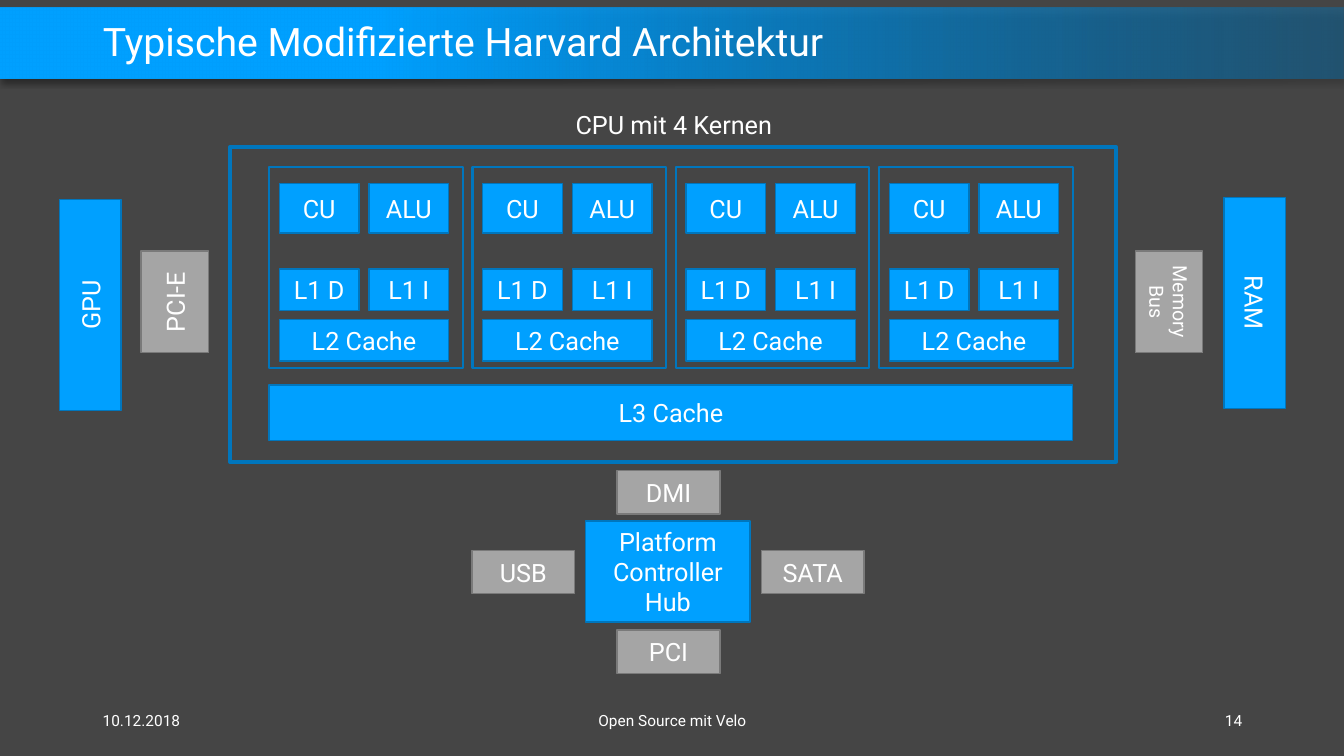
from dataclasses import dataclass

from lxml.etree import SubElement
from pptx import Presentation
from pptx.dml.color import RGBColor as RGB
from pptx.enum.shapes import MSO_SHAPE as Shape
from pptx.enum.text import MSO_ANCHOR as Anchor, MSO_AUTO_SIZE as AutoSize, PP_ALIGN as Align
from pptx.oxml.ns import qn
from pptx.util import Inches, Pt


@dataclass(frozen=True)
class Theme:
    font: str = "Roboto"
    background: str = "454545"
    text: str = "FFFFFF"
    blue: str = "00A0FF"
    blue_line: str = "0076BD"
    gray: str = "A5A5A5"
    gray_line: str = "7A7A7A"
    bar_end: str = "0078BF"
    shadow: str = "000000"
    title_size: int = 28
    label_size: int = 18
    small_size: int = 14
    footer_size: int = 11


THEME = Theme()
BLUE = (THEME.blue, THEME.blue_line)
GRAY = (THEME.gray, THEME.gray_line)
OUTLINE = (None, THEME.blue_line)

TITLE = "Typische Modifizierte Harvard Architektur"
CPU_LABEL = "CPU mit 4 Kernen"
# text, left, width, alignment
FOOTERS = [
    ("10.12.2018", 0.92, 3, Align.LEFT),
    ("Open Source mit Velo", 4.42, 4.5, Align.CENTER),
    ("14", 9.42, 3, Align.RIGHT),
]

CPU = (2.28, 1.46, 8.79, 3.12)
L3_CACHE = (2.67, 3.82, 7.97, 0.55)
CORE_COUNT = 4
CORE_TOP, CORE_WIDTH, CORE_HEIGHT = 1.66, 1.92, 1.99
# text, offset from the core's left edge, top, width, height
CORE_UNITS = [
    ("CU", 0.1, 1.82, 0.79, 0.49),
    ("ALU", 0.99, 1.82, 0.79, 0.49),
    ("L2 Cache", 0.1, 3.17, 1.68, 0.41),
    ("L1 D", 0.1, 2.67, 0.79, 0.41),
    ("L1 I", 0.99, 2.67, 0.79, 0.41),
]

# text, position, colours, text size, text direction
SIDE_PARTS = [
    ("Memory Bus", (11.26, 2.49, 0.67, 1.01), GRAY, THEME.small_size, "vert"),
    ("RAM", (12.14, 1.96, 0.61, 2.09), BLUE, THEME.label_size, "vert"),
    ("PCI-E", (1.4, 2.49, 0.67, 1.01), GRAY, THEME.label_size, "vert270"),
    ("GPU", (0.59, 1.98, 0.61, 2.09), BLUE, THEME.label_size, "vert270"),
]

HUB_LABEL, HUB = "Platform Controller Hub", (5.81, 5.17, 1.63, 1)
BUS_WIDTH, BUS_HEIGHT = 1.02, 0.43
# text, left, top
HUB_BUSES = [
    ("DMI", 6.12, 4.67),
    ("USB", 4.68, 5.46),
    ("SATA", 7.55, 5.46),
    ("PCI", 6.12, 6.25),
]


def inches(position):
    return [Inches(value) for value in position]


def write(frame, text, size, align):
    para = frame.paragraphs[0]
    para.alignment = align
    span = para.add_run()
    span.text = text
    span.font.name = THEME.font
    span.font.size = Pt(size)
    span.font.color.rgb = RGB.from_string(THEME.text)
    return para


def add_box(shapes, position, colours, text="", size=THEME.label_size, line=1, direction=None):
    box = shapes.add_shape(Shape.RECTANGLE, *inches(position))
    box.shadow.inherit = False
    fill, edge = colours
    if fill:
        box.fill.solid()
        box.fill.fore_color.rgb = RGB.from_string(fill)
    else:
        box.fill.background()
    box.line.color.rgb = RGB.from_string(edge)
    box.line.width = Pt(line)
    if text:
        frame = box.text_frame
        frame.word_wrap = True
        frame.vertical_anchor = Anchor.MIDDLE
        write(frame, text, size, Align.CENTER)
        if direction:
            frame._txBody.bodyPr.set("vert", direction)


def add_label(page, position, text, size, align, anchor, wrap=True):
    frame = page.shapes.add_textbox(*inches(position)).text_frame
    frame.word_wrap = wrap
    frame.vertical_anchor = anchor
    frame.auto_size = AutoSize.NONE if wrap else AutoSize.SHAPE_TO_FIT_TEXT
    write(frame, text, size, align)


def add_title_bar(page):
    """Add the fading bar with its soft shadow beneath the title."""
    bar = page.shapes.add_shape(Shape.RECTANGLE, *inches((0, 0.08, 13.33, 0.7)))
    bar.line.fill.background()
    bar.fill.gradient()
    bar.fill.gradient_angle = 180
    stops = bar.fill.gradient_stops
    for stop, colour, place in zip(stops, (THEME.bar_end, THEME.blue), (0, 0.72)):
        stop.color.rgb = RGB.from_string(colour)
        stop.position = place
    properties = bar._element.spPr
    faded = properties.find(".//" + qn("a:srgbClr"))
    SubElement(faded, qn("a:alpha"), val="40000")

    bar.shadow.inherit = False
    shadow = SubElement(
        properties.find(qn("a:effectLst")), qn("a:outerShdw"),
        blurRad=str(Pt(4)), dist=str(Pt(3)), dir="5400000", algn="t", rotWithShape="0")
    tint = SubElement(shadow, qn("a:srgbClr"), val=THEME.shadow)
    SubElement(tint, qn("a:alpha"), val="40000")
    page.shapes.title._element.addprevious(bar._element)


def add_title(page):
    title = page.shapes.title
    title.left, title.top, title.width, title.height = inches((0.92, 0.16, 11.5, 0.55))
    frame = title.text_frame
    frame.auto_size = AutoSize.NONE
    frame.vertical_anchor = Anchor.MIDDLE
    write(frame, TITLE, THEME.title_size, Align.LEFT).line_spacing = 0.9


def add_cores(page):
    """Spread the cores evenly over the width of the L3 cache."""
    first, _, span_width, _ = L3_CACHE
    pitch = (span_width - CORE_WIDTH) / (CORE_COUNT - 1)
    for index in range(CORE_COUNT):
        left = first + index * pitch
        core = page.shapes.add_group_shape().shapes
        add_box(core, (left, CORE_TOP, CORE_WIDTH, CORE_HEIGHT), OUTLINE, line=1.5)
        for text, offset, top, width, height in CORE_UNITS:
            add_box(core, (left + offset, top, width, height), BLUE, text)


def main():
    deck = Presentation()
    deck.slide_width, deck.slide_height = Inches(13.33), Inches(7.5)
    page = deck.slides.add_slide(deck.slide_layouts.get_by_name("Title Only"))
    page.background.fill.solid()
    page.background.fill.fore_color.rgb = RGB.from_string(THEME.background)

    add_title_bar(page)
    add_title(page)
    for text, left, width, align in FOOTERS:
        add_label(page, (left, 6.95, width, 0.4), text, THEME.footer_size, align, Anchor.MIDDLE)

    add_box(page.shapes, L3_CACHE, BLUE, "L3 Cache")
    add_cores(page)
    add_box(page.shapes, CPU, OUTLINE, line=3)
    add_label(page, (5.61, 1.04, 2.16, 0.4), CPU_LABEL, THEME.label_size,
              Align.LEFT, Anchor.TOP, wrap=False)

    for text, position, colours, size, direction in SIDE_PARTS:
        add_box(page.shapes, position, colours, text, size, direction=direction)
    add_box(page.shapes, HUB, BLUE, HUB_LABEL)
    for text, left, top in HUB_BUSES:
        add_box(page.shapes, (left, top, BUS_WIDTH, BUS_HEIGHT), GRAY, text)

    deck.save("out.pptx")


if __name__ == "__main__":
    main()
